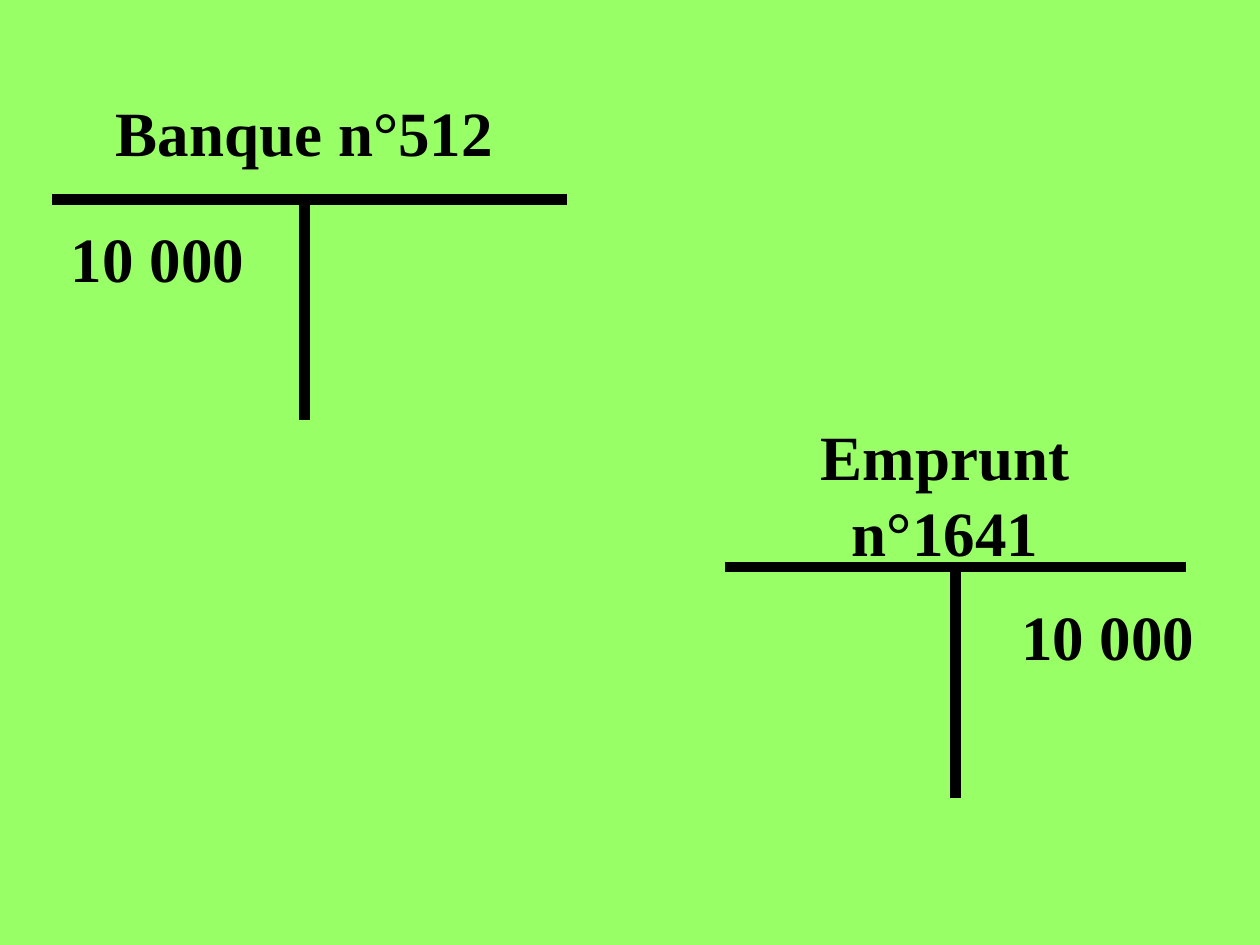
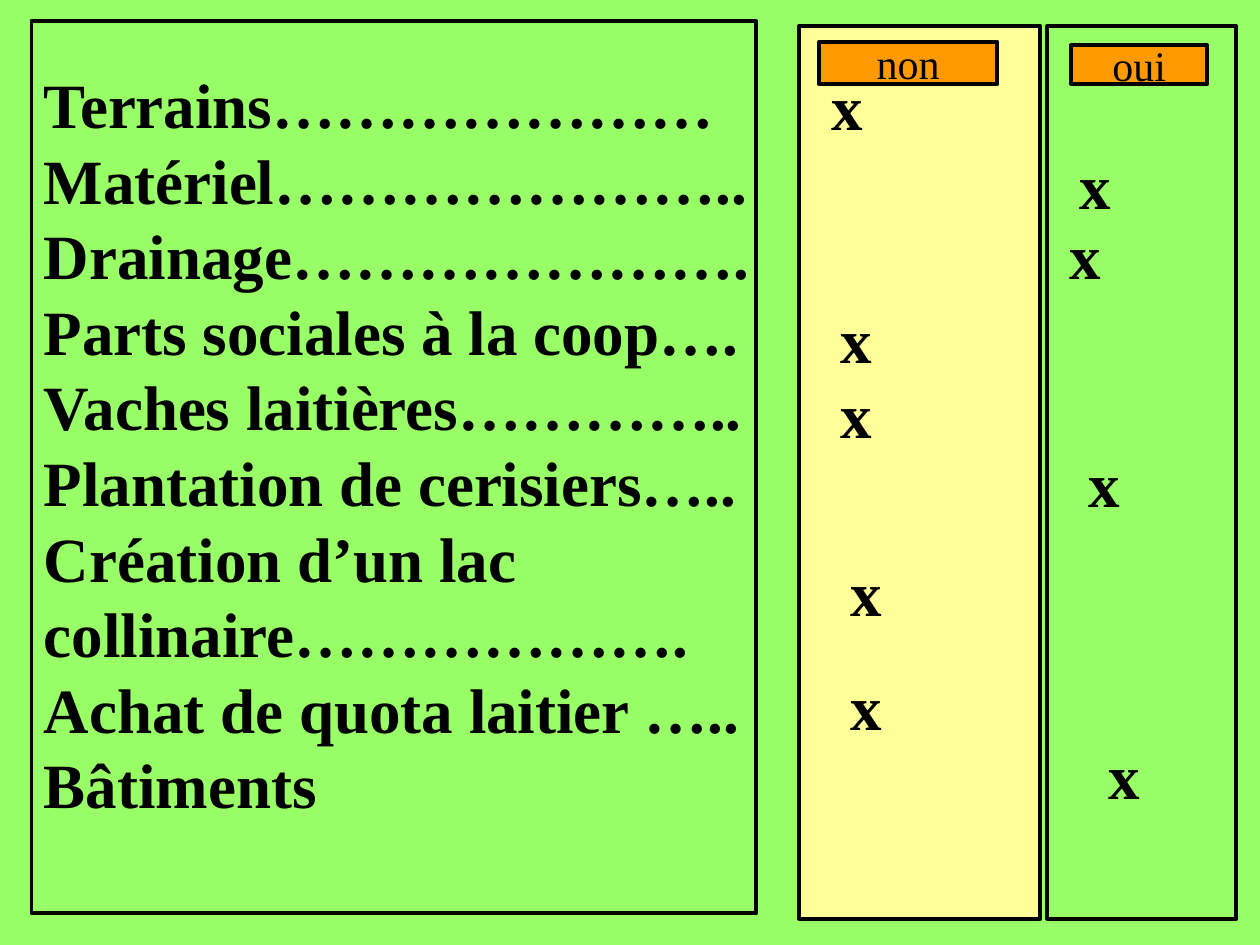
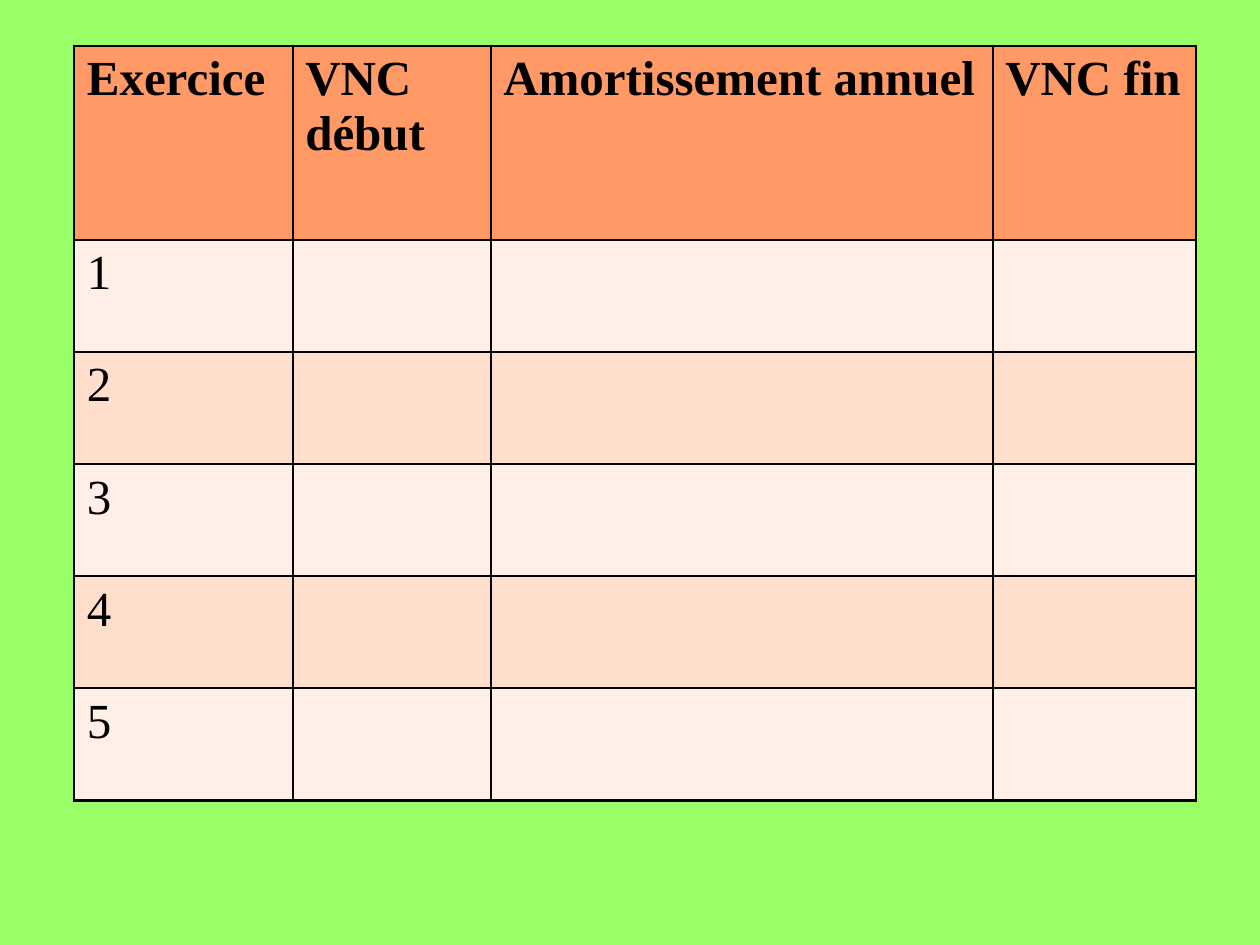
from dataclasses import dataclass

from lxml import etree
from pptx import Presentation
from pptx.dml.color import RGBColor
from pptx.enum.shapes import MSO_CONNECTOR, MSO_SHAPE
from pptx.enum.text import MSO_ANCHOR, PP_ALIGN
from pptx.oxml.ns import qn
from pptx.util import Pt

RECTANGLE = MSO_SHAPE.RECTANGLE
STRAIGHT = MSO_CONNECTOR.STRAIGHT
TOP, MIDDLE = MSO_ANCHOR.TOP, MSO_ANCHOR.MIDDLE
LEFT, CENTER = PP_ALIGN.LEFT, PP_ALIGN.CENTER
BLANK_LAYOUT = 6


@dataclass(frozen=True)
class Theme:
    font: str = "Times New Roman"
    ink: str = "000000"
    background: str = "99FF66"
    no_column: str = "FFFF99"
    label: str = "FF9900"
    header: str = "FF9966"
    light_row: str = "FFEFE7"
    dark_row: str = "FFDECB"
    large: float = 36
    medium: float = 28
    small: float = 24
    line_factor: float = 1.2
    account_line: float = 6
    outline: float = 2.25
    border: float = 1.47


class Deck:
    def __init__(self, theme):
        self.theme = theme
        self.presentation = Presentation()
        self.presentation.slide_width = Pt(720)
        self.presentation.slide_height = Pt(540)
        self.slide = None

    def add_slide(self):
        layout = self.presentation.slide_layouts[BLANK_LAYOUT]
        self.slide = self.presentation.slides.add_slide(layout)
        self.paint(self.slide.background.fill, self.theme.background)

    def paint(self, fill, color):
        fill.solid()
        fill.fore_color.rgb = RGBColor.from_string(color)

    def add_run(self, paragraph, text, size, bold):
        run = paragraph.add_run()
        run.text = text
        run.font.name = self.theme.font
        run.font.size = Pt(size)
        run.font.bold = bold
        run.font.color.rgb = RGBColor.from_string(self.theme.ink)

    def fill_text(self, shape, lines, size, bold=True, align=CENTER, anchor=MIDDLE, wrap=False):
        frame = shape.text_frame
        frame.word_wrap = wrap
        frame.vertical_anchor = anchor
        for index, line in enumerate(lines):
            paragraph = frame.add_paragraph() if index else frame.paragraphs[0]
            paragraph.alignment = align
            paragraph.line_spacing = Pt(size * self.theme.line_factor)
            self.add_run(paragraph, line, size, bold)

    def text(self, left, top, width, height, line, align=CENTER, wrap=False):
        box = self.slide.shapes.add_textbox(Pt(left), Pt(top), Pt(width), Pt(height))
        self.fill_text(box, [line], self.theme.large, align=align, wrap=wrap)

    def rectangle(self, left, top, width, height, color=None):
        shape = self.slide.shapes.add_shape(RECTANGLE, Pt(left), Pt(top), Pt(width), Pt(height))
        shape.shadow.inherit = False
        if color:
            self.paint(shape.fill, color)
        else:
            shape.fill.background()
        self.paint(shape.line.fill, self.theme.ink)
        shape.line.width = Pt(self.theme.outline)
        return shape

    def line(self, x1, y1, x2, y2):
        connector = self.slide.shapes.add_connector(STRAIGHT, Pt(x1), Pt(y1), Pt(x2), Pt(y2))
        self.paint(connector.line.fill, self.theme.ink)
        connector.line.width = Pt(self.theme.account_line)
        etree.SubElement(connector._element.spPr, qn("a:effectLst"))

    def account(self, left, right, stem, top, bottom):
        self.line(left, top, right, top)
        self.line(stem, top, stem, bottom)

    def border(self, cell):
        properties = cell._tc.get_or_add_tcPr()
        for side in ("a:lnL", "a:lnR", "a:lnT", "a:lnB"):
            edge = etree.SubElement(properties, qn(side), w=str(int(Pt(self.theme.border))))
            fill = etree.SubElement(edge, qn("a:solidFill"))
            etree.SubElement(fill, qn("a:srgbClr"), val=self.theme.ink)

    def table(self, left, top, widths, heights, rows):
        table = self.slide.shapes.add_table(
            len(rows), len(widths), Pt(left), Pt(top), Pt(sum(widths)), Pt(sum(heights))
        ).table
        for column, width in zip(table.columns, widths):
            column.width = Pt(width)
        for index, (values, height) in enumerate(zip(rows, heights)):
            table.rows[index].height = Pt(height)
            band = self.theme.light_row if index % 2 else self.theme.dark_row
            color = band if index else self.theme.header
            for cell, value in zip(table.rows[index].cells, values):
                self.border(cell)
                self.paint(cell.fill, color)
                if value:
                    self.add_run(cell.text_frame.paragraphs[0], value, self.theme.medium, index == 0)


def build_accounts(deck):
    deck.add_slide()
    deck.account(30, 324, 174, 114, 240)
    deck.account(414, 678, 546, 324, 456)
    deck.text(30, 48, 288, 54, "Banque n°512")
    deck.text(408, 252, 264, 60, "Emprunt n°1641")
    deck.text(558, 342, 150, 42, "10 000")
    deck.text(18, 126, 144, 42, "10 000")


def build_depreciable_assets(deck):
    theme = deck.theme
    assets = [
        "Terrains…………………",
        "Matériel…………………..",
        "Drainage………………….",
        "Parts sociales à la coop….",
        "Vaches laitières…………..",
        "Plantation de cerisiers…..",
        "Création d’un lac",
        "collinaire……………….",
        "Achat de quota laitier …..",
        "Bâtiments",
    ]
    no_marks = [(468, 60), (473, 193.3), (473, 236.2), (478.8, 338), (478.8, 402.8)]
    yes_marks = [(609.8, 105.5), (604, 145.4), (614.9, 275.4), (626.4, 442.4)]
    mark_width, mark_height = 72, 24

    deck.add_slide()
    panel = deck.rectangle(18, 12, 414, 510)
    panel.text_frame.margin_top = Pt(25.5)
    deck.fill_text(panel, assets, theme.large, align=LEFT, anchor=TOP)
    deck.rectangle(456.5, 15, 138, 510, theme.no_column)
    deck.rectangle(598.5, 15, 108, 510, theme.background)
    no_label = deck.rectangle(468, 24, 102, 24, theme.label)
    yes_label = deck.rectangle(612, 26, 78, 22, theme.label)
    for label, word in ((no_label, "non"), (yes_label, "oui")):
        deck.fill_text(label, [word], theme.small, bold=False)
    for left, middle in no_marks + yes_marks:
        deck.text(left, middle - mark_height / 2, mark_width, mark_height, "x", LEFT, True)


def build_depreciation_plan(deck):
    header = ["Exercice", "VNC début", "Amortissement annuel", "VNC fin"]
    years = [[str(year), "", "", ""] for year in range(1, 6)]
    deck.add_slide()
    deck.table(42.5, 26.2, [124.8, 113.2, 286.8, 116], [110.8] + [64.1] * 5, [header] + years)


def main():
    deck = Deck(Theme())
    build_accounts(deck)
    build_depreciable_assets(deck)
    build_depreciation_plan(deck)
    deck.presentation.save("out.pptx")


if __name__ == "__main__":
    main()
